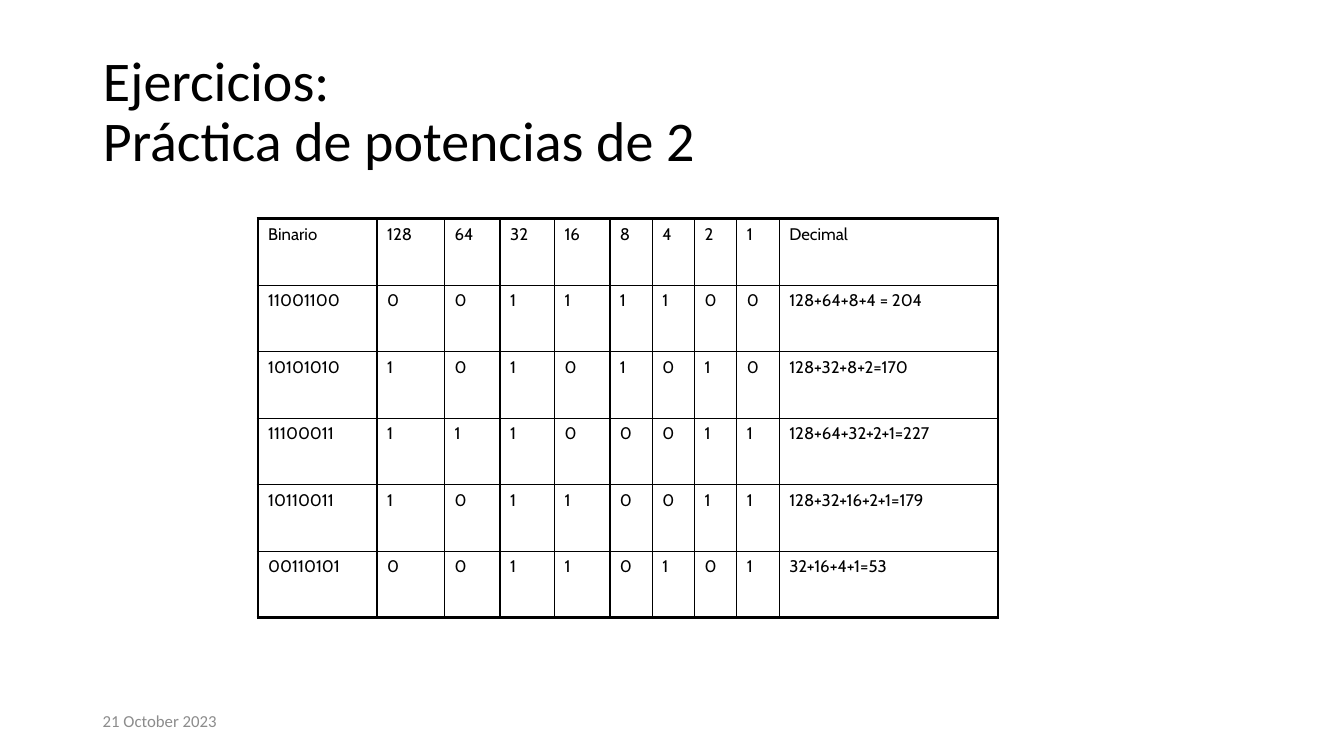
import pptx
import pptx.dml.color
import pptx.enum.text
import pptx.oxml.ns
import pptx.util
from lxml import etree
from pptx.util import Inches

BLACK = pptx.dml.color.RGBColor(0x00, 0x00, 0x00)
GRAY = pptx.dml.color.RGBColor(0x8C, 0x8C, 0x8C)
THIN, THICK = pptx.util.Pt(1), pptx.util.Pt(2.25)
MIDDLE = pptx.enum.text.MSO_ANCHOR.MIDDLE
LEFT = pptx.enum.text.PP_ALIGN.LEFT

COLUMN_WIDTHS = [1.18, 0.67, 0.55, 0.54, 0.55, 0.42, 0.42, 0.42, 0.42, 2.17]
ROW_HEIGHT = 0.66
HEADINGS = ["Binario", "128", "64", "32", "16", "8", "4", "2", "1", "Decimal"]
# Binary number, digits under the powers of two, decimal sum
EXERCISES = [
    ("11001100", "00111100", "128+64+8+4 = 204"),
    ("10101010", "10101010", "128+32+8+2=170"),
    ("11100011", "11100011", "128+64+32+2+1=227"),
    ("10110011", "10110011", "128+32+16+2+1=179"),
    ("00110101", "00110101", "32+16+4+1=53"),
]


def style_font(paragraph, name, size, color):
    paragraph.font.name = name
    paragraph.font.size = pptx.util.Pt(size)
    paragraph.font.color.rgb = color


def add_border(cell, side, width):
    properties = cell._tc.get_or_add_tcPr()
    line = etree.SubElement(properties, pptx.oxml.ns.qn(f"a:ln{side}"), w=str(width))
    fill = etree.SubElement(line, pptx.oxml.ns.qn("a:solidFill"))
    etree.SubElement(fill, pptx.oxml.ns.qn("a:srgbClr"), val=str(BLACK))


presentation = pptx.Presentation()
presentation.slide_width = Inches(13.33)
presentation.slide_height = Inches(7.5)
slide = presentation.slides.add_slide(presentation.slide_layouts[5])

# Date
date = slide.shapes.add_textbox(Inches(0.92), Inches(6.95), Inches(3), Inches(0.4))
date.text_frame.word_wrap = True
date.text_frame.vertical_anchor = MIDDLE
date.text_frame.text = "21 October 2023"
style_font(date.text_frame.paragraphs[0], "Calibri", 12, GRAY)

# Title
title = slide.shapes.title
title.left, title.top = Inches(0.92), Inches(0.4)
title.width, title.height = Inches(11.5), Inches(1.45)
title.text_frame.text = "Ejercicios: \vPráctica de potencias de 2"
title.text_frame.vertical_anchor = MIDDLE
title.text_frame.auto_size = pptx.enum.text.MSO_AUTO_SIZE.NONE
heading = title.text_frame.paragraphs[0]
heading.alignment = LEFT
heading.line_spacing = 0.9
style_font(heading, "Calibri", 40, BLACK)

# Table of binary numbers
rows = [HEADINGS] + [[binary, *digits, total] for binary, digits, total in EXERCISES]
last_row, last_column = len(rows) - 1, len(HEADINGS) - 1
powers = slide.shapes.add_table(
    len(rows), len(HEADINGS), Inches(2.56), Inches(2.17),
    Inches(sum(COLUMN_WIDTHS)), Inches(ROW_HEIGHT * len(rows))).table
powers.first_row = False
powers.horz_banding = False
for column, width in zip(powers.columns, COLUMN_WIDTHS):
    column.width = Inches(width)
for row in powers.rows:
    row.height = Inches(ROW_HEIGHT)

for r, values in enumerate(rows):
    for c, value in enumerate(values):
        cell = powers.cell(r, c)
        cell.text = value
        style_font(cell.text_frame.paragraphs[0], "Cabin", 12, BLACK)
        # Thick outer frame, thin inner grid
        outer_sides = {"L": c == 0, "R": c == last_column,
                       "T": r == 0, "B": r == last_row}
        for side, is_outer in outer_sides.items():
            add_border(cell, side, THICK if is_outer else THIN)
        cell.fill.background()

presentation.save("out.pptx")
